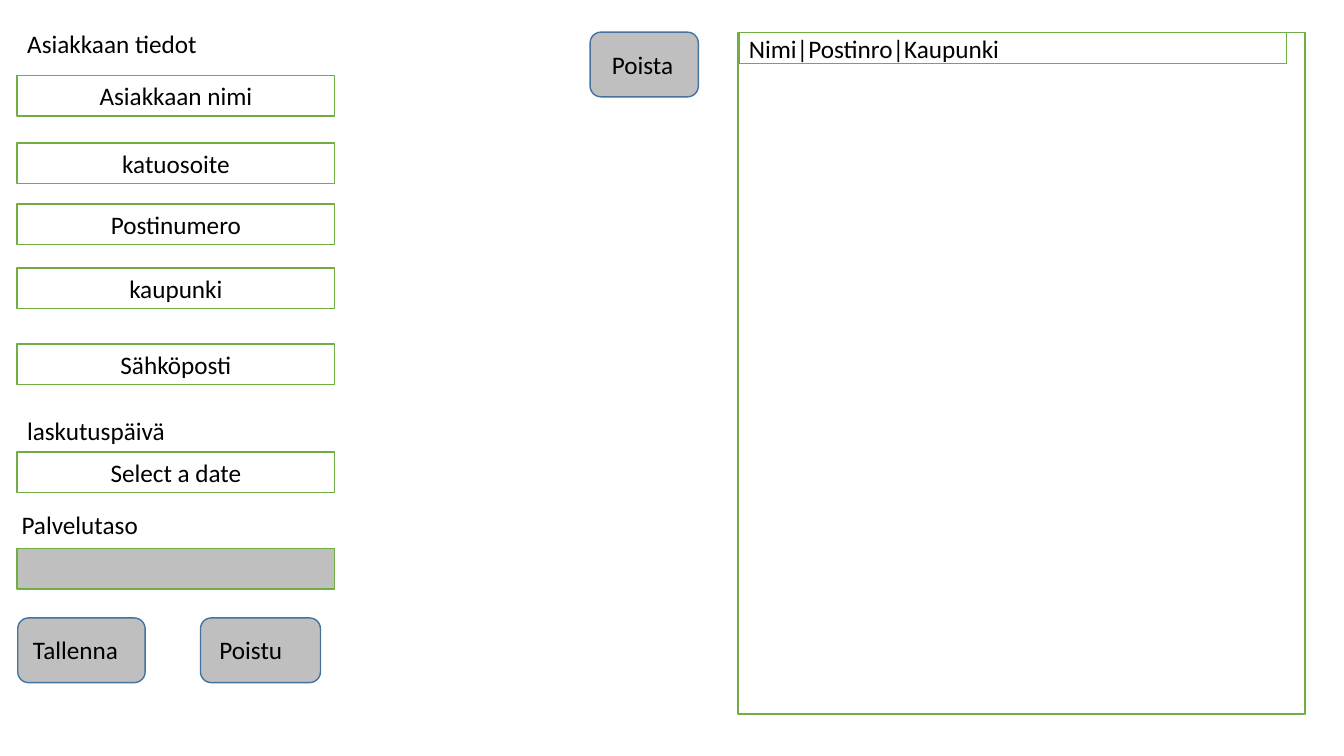
from pptx import Presentation
from pptx.dml.color import RGBColor
from pptx.enum.shapes import MSO_SHAPE
from pptx.enum.text import MSO_ANCHOR, MSO_AUTO_SIZE, PP_ALIGN
from pptx.util import Pt

RECT = MSO_SHAPE.RECTANGLE
ROUNDED = MSO_SHAPE.ROUNDED_RECTANGLE
TOP, MIDDLE = MSO_ANCHOR.TOP, MSO_ANCHOR.MIDDLE
LEFT, CENTER = PP_ALIGN.LEFT, PP_ALIGN.CENTER
NO_AUTOFIT = MSO_AUTO_SIZE.NONE

WHITE, BLACK, GRAY = "FFFFFF", "000000", "BFBFBF"
GREEN, BLUE = "70AD47", "43739E"

FIELD_X, FIELD_W, FIELD_H = 12.25, 226.8, 29
BUTTON_H = 46.2

FIELDS = [
    ("Asiakkaan nimi", 54),
    ("katuosoite", 102.2),
    ("Postinumero", 145.6),
    ("kaupunki", 191.4),
    ("Sähköposti", 245.6),
    ("Select a date", 322.8),
]
LABELS = [
    ("laskutuspäivä", 12.25, 293.2),
    ("Palvelutaso", 8.3, 360.2),
]
BUTTONS = [
    ("Tallenna", 12.7, 441.4, 91, 16.5, 102),
    ("Poistu", 143.2, 441.4, 85.7, 149.7, 102),
    ("Poista", 421.5, 23, 77.3, 430, 84.3),
]


def color(value):
    return RGBColor.from_string(value)


def write(s, text, align=LEFT, anchor=TOP):
    tf = s.text_frame
    tf.word_wrap = True
    tf.auto_size = NO_AUTOFIT
    tf.vertical_anchor = anchor
    tf.text = text
    p = tf.paragraphs[0]
    p.alignment = align
    p.font.name = "Calibri"
    p.font.size = Pt(18)
    p.font.color.rgb = color(BLACK)


def add_box(slide, kind, x, y, w, h, fill, line):
    s = slide.shapes.add_shape(kind, Pt(x), Pt(y), Pt(w), Pt(h))
    s.shadow.inherit = False
    s.fill.solid()
    s.fill.fore_color.rgb = color(fill)
    s.line.color.rgb = color(line)
    s.line.width = Pt(1)
    return s


def add_label(slide, text, x, y, w):
    s = slide.shapes.add_textbox(Pt(x), Pt(y), Pt(w), Pt(FIELD_H))
    write(s, text)


def add_title(slide, text, x, y, w):
    s = slide.shapes.title
    s.left, s.top, s.width, s.height = Pt(x), Pt(y), Pt(w), Pt(FIELD_H)
    write(s, text)


def add_field(slide, y, fill):
    return add_box(slide, RECT, FIELD_X, y, FIELD_W, FIELD_H, fill, GREEN)


def add_button(slide, text, x, y, w, text_x, text_w):
    add_box(slide, ROUNDED, x, y, w, BUTTON_H, GRAY, BLUE)
    add_label(slide, text, text_x, y + 8.4, text_w)


def add_customer_list(slide):
    add_box(slide, RECT, 527.2, 23.2, 405, 486.8, WHITE, GREEN)
    header = add_box(slide, RECT, 527.8, 23.2, 391, 22.4, WHITE, GREEN)
    write(header, "Nimi|Postinro|Kaupunki", LEFT, MIDDLE)


def main():
    prs = Presentation()
    prs.slide_width, prs.slide_height = Pt(960), Pt(540)
    slide = prs.slides.add_slide(prs.slide_layouts[5])

    add_title(slide, "Asiakkaan tiedot", FIELD_X, 16.8, 159)
    for text, y in FIELDS:
        write(add_field(slide, y, WHITE), text, CENTER, MIDDLE)
    for text, x, y in LABELS:
        add_label(slide, text, x, y, 204)
    add_field(slide, 391.7, GRAY)
    for button in BUTTONS:
        add_button(slide, *button)
    add_customer_list(slide)

    prs.save("out.pptx")


if __name__ == "__main__":
    main()
